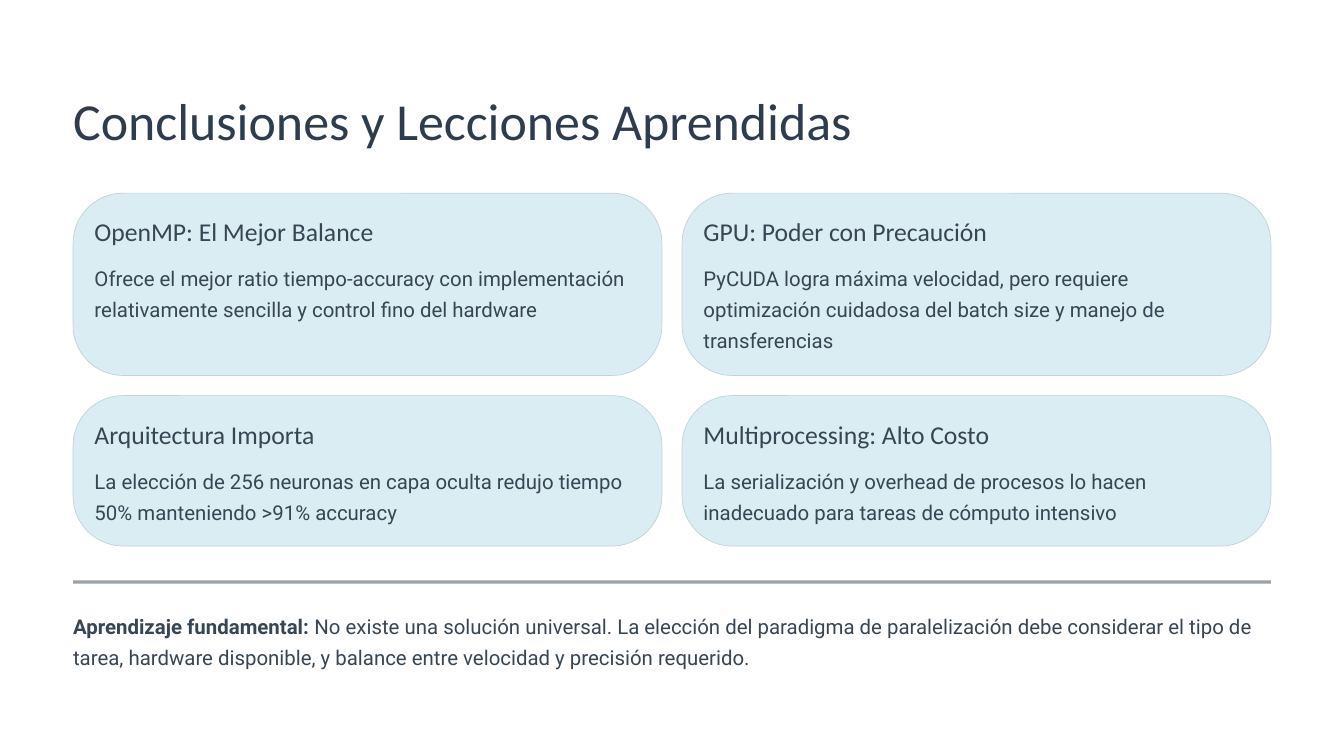
from lxml.etree import SubElement
from pptx import Presentation
from pptx.dml.color import RGBColor
from pptx.enum.shapes import MSO_SHAPE
from pptx.enum.text import MSO_ANCHOR, MSO_AUTO_SIZE, PP_ALIGN
from pptx.oxml.ns import qn
from pptx.util import Inches, Pt

# Content
TITLE = "Conclusiones y Lecciones Aprendidas"
CARD_ROWS = [
    [("OpenMP: El Mejor Balance",
      "Ofrece el mejor ratio tiempo-accuracy con implementación "
      "relativamente sencilla y control fino del hardware"),
     ("GPU: Poder con Precaución",
      "PyCUDA logra máxima velocidad, pero requiere optimización "
      "cuidadosa del batch size y manejo de transferencias")],
    [("Arquitectura Importa",
      "La elección de 256 neuronas en capa oculta redujo tiempo 50% "
      "manteniendo >91% accuracy"),
     ("Multiprocessing: Alto Costo",
      "La serialización y overhead de procesos lo hacen inadecuado "
      "para tareas de cómputo intensivo")],
]
LESSON_LABEL = "Aprendizaje fundamental:"
LESSON = (" No existe una solución universal. La elección del paradigma de "
          "paralelización debe considerar el tipo de tarea, hardware disponible, "
          "y balance entre velocidad y precisión requerido.")

COLORS = {"title": "2E3C4E", "text": "384653", "card": "D9EDF2", "border": "BFD3D8"}

# Layout, in inches
LEFT, WIDTH = 0.87, 14.26
GAP = 0.24
CARD_WIDTH = (WIDTH - GAP) / 2
CARDS_TOP = 2.3
ROW_HEIGHTS = [2.17, 1.79]
CORNER_RADIUS = 0.596
PAD = 0.255
BODY_OFFSET = 0.795


def color(name):
    return RGBColor.from_string(COLORS[name])


def place(shape, left, top, width, height):
    shape.left, shape.top = Inches(left), Inches(top)
    shape.width, shape.height = Inches(width), Inches(height)


def write(box, *runs, size=17.5, spacing=26.5, font="Roboto", ink="text"):
    """Fill a box with one paragraph of (text, bold) runs."""
    frame = box.text_frame
    frame.word_wrap = True
    frame.auto_size = MSO_AUTO_SIZE.NONE
    frame.vertical_anchor = MSO_ANCHOR.TOP
    frame.margin_left = frame.margin_right = 0
    frame.margin_top = frame.margin_bottom = 0
    para = frame.paragraphs[0]
    para.alignment = PP_ALIGN.LEFT
    para.line_spacing = Pt(spacing)
    for text, bold in runs:
        span = para.add_run()
        span.text = text
        span.font.name = font
        span.font.size = Pt(size)
        span.font.bold = bold
        span.font.color.rgb = color(ink)


def add_text(page, left, top, width, height, *runs, **style):
    box = page.shapes.add_textbox(
        Inches(left), Inches(top), Inches(width), Inches(height))
    write(box, *runs, **style)


def add_panel(page, kind, left, top, width, height, fill):
    panel = page.shapes.add_shape(
        kind, Inches(left), Inches(top), Inches(width), Inches(height))
    panel.shadow.inherit = False
    panel.fill.solid()
    panel.fill.fore_color.rgb = color(fill)
    return panel


def add_card(page, left, top, height, heading, body):
    card = add_panel(page, MSO_SHAPE.ROUNDED_RECTANGLE,
                     left, top, CARD_WIDTH, height, "card")
    card.adjustments[0] = CORNER_RADIUS / height
    card.line.color.rgb = color("border")
    card.line.width = Pt(0.6)
    text_width = CARD_WIDTH - 2 * PAD
    add_text(page, left + PAD, top + PAD, text_width, 0.39, (heading, False),
             size=22, spacing=27.5, font="Calibri")
    add_text(page, left + PAD, top + BODY_OFFSET, text_width,
             height - BODY_OFFSET - PAD, (body, False))


def main():
    deck = Presentation()
    deck.slide_width, deck.slide_height = Inches(16), Inches(9)
    page = deck.slides.add_slide(deck.slide_layouts[5])

    # Title
    title = page.shapes.title
    place(title, LEFT, 1.03, WIDTH, 0.78)
    write(title, (TITLE, False), size=44.5, spacing=55.5, font="Calibri", ink="title")

    # Cards
    top = CARDS_TOP
    for cards, height in zip(CARD_ROWS, ROW_HEIGHTS):
        for column, (heading, body) in enumerate(cards):
            left = LEFT + column * (CARD_WIDTH + GAP)
            add_card(page, left, top, height, heading, body)
        top += height + GAP

    # Half-transparent divider
    divider = add_panel(page, MSO_SHAPE.RECTANGLE, LEFT, 6.91, WIDTH, 0.04, "text")
    divider.line.fill.background()
    tint = next(divider.fill._xPr.iter(qn("a:srgbClr")))
    SubElement(tint, qn("a:alpha"), val="50000")

    # Closing lesson
    add_text(page, LEFT, 7.23, WIDTH, 0.74, (LESSON_LABEL, True), (LESSON, False))

    deck.save("out.pptx")


if __name__ == "__main__":
    main()
